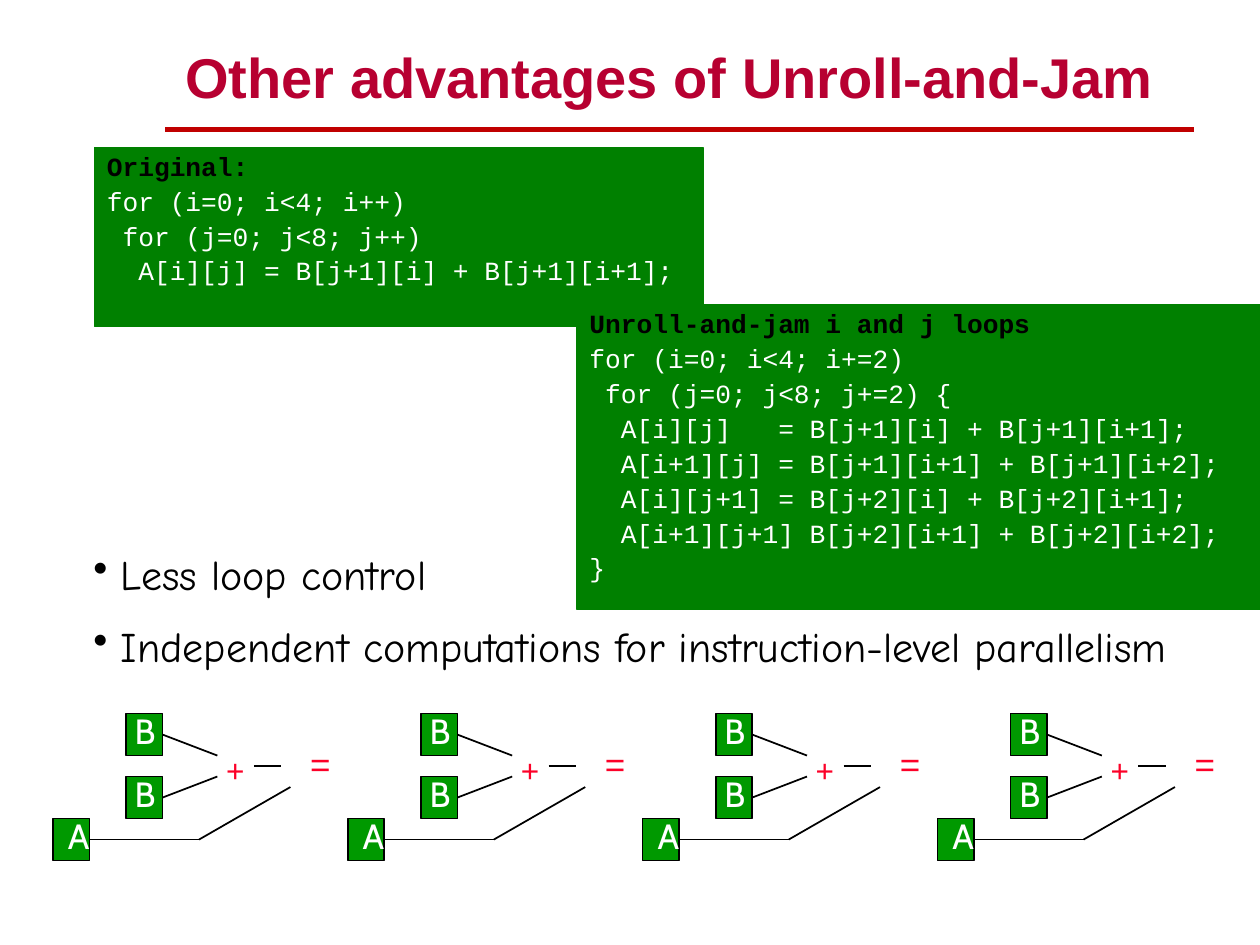
from dataclasses import dataclass

from lxml import etree
from pptx import Presentation, util as u
from pptx.dml.color import RGBColor
from pptx.enum import shapes as kinds, text as t
from pptx.oxml.ns import qn

WIDTH, HEIGHT = 10, 7.5
COL, ROW = 0.29, 1 / 12
TREE_LEFT, TREE_TOP, TREE_PITCH, TREE_COUNT = 0.42, 5.58, 2.34, 4
BLACK, WHITE, RED = "000000", "FFFFFF", "FC0128"
CODE_GREEN, NODE_GREEN = "008000", "009900"


@dataclass(frozen=True)
class Box:
    left: float
    top: float
    width: float
    height: float

    def inches(self) -> list:
        return [u.Inches(v) for v in (self.left, self.top, self.width, self.height)]


@dataclass(frozen=True)
class Style:
    font: str
    size: float
    color: str
    bold: bool = False


@dataclass(frozen=True)
class Listing:
    box: Box
    heading: str
    code: str


@dataclass(frozen=True)
class Symbol:
    col: float
    row: float
    width: float
    height: float
    word: str
    style: Style


@dataclass(frozen=True)
class Edge:
    col1: float
    row1: float
    col2: float
    row2: float


LISTINGS = [
    Listing(Box(0.75, 1.17, 4.83, 1.42), "Original:", """\
for (i=0; i<4; i++)
 for (j=0; j<8; j++)
  A[i][j] = B[j+1][i] + B[j+1][i+1];"""),
    Listing(Box(4.58, 2.42, 5.42, 2.42), "Unroll-and-jam i and j loops", """\
for (i=0; i<4; i+=2)
 for (j=0; j<8; j+=2) {
  A[i][j]   = B[j+1][i] + B[j+1][i+1];
  A[i+1][j] = B[j+1][i+1] + B[j+1][i+2];
  A[i][j+1] = B[j+2][i] + B[j+2][i+1];
  A[i+1][j+1] B[j+2][i+1] + B[j+2][i+2];
}"""),
]
ADVANTAGES = ["Less loop control",
              "Independent computations for instruction-level parallelism"]
OPERAND = Style("Cabin", 20, WHITE)
NODES = [(2, 1), (2, 7), (0, 11)]
EDGES = [Edge(3, 3, 4.5, 5), Edge(3, 9, 4.5, 7), Edge(1, 13, 4, 13),
         Edge(4, 13, 6.5, 8), Edge(5.5, 6, 6.25, 6)]
SYMBOLS = [
    Symbol(4.4, 4, 0.34, 0.4, "+", Style("Arial", 18, RED)),
    Symbol(1.9, 0, 0.38, 0.44, "B", OPERAND),
    Symbol(1.9, 6, 0.38, 0.44, "B", OPERAND),
    Symbol(0.07, 10, 0.38, 0.44, "A", OPERAND),
    Symbol(6.7, 3.2, 0.36, 0.44, "=", Style("Arial", 20, RED)),
]


def rgb(color: str) -> RGBColor:
    return RGBColor.from_string(color)


def add_run(paragraph, words: str, style: Style) -> None:
    run = paragraph.add_run()
    run.text = words
    run.font.name = style.font
    run.font.size = u.Pt(style.size)
    run.font.bold = style.bold
    run.font.color.rgb = rgb(style.color)


def set_frame(frame, wrap: bool, fit, anchor=t.MSO_ANCHOR.TOP,
              side: float = 0.1, edge: float = 0.05) -> None:
    frame.word_wrap = wrap
    frame.auto_size = fit
    frame.vertical_anchor = anchor
    frame.margin_left = frame.margin_right = u.Inches(side)
    frame.margin_top = frame.margin_bottom = u.Inches(edge)


def next_paragraph(frame, number: int, indent: float, spacing: float, before: float):
    paragraph = frame.add_paragraph() if number else frame.paragraphs[0]
    paragraph.alignment = t.PP_ALIGN.LEFT
    paragraph.line_spacing = spacing
    paragraph.space_before = u.Pt(before if number else 0)
    props = paragraph._p.get_or_add_pPr()
    props.set("marL", str(u.Inches(indent)))
    props.set("indent", str(u.Inches(-indent)))
    return paragraph


def add_block(parent, box: Box, fill: str, line: str, weight: float):
    block = parent.add_shape(kinds.MSO_SHAPE.RECTANGLE, *box.inches())
    block.shadow.inherit = False
    block.fill.solid()
    block.fill.fore_color.rgb = rgb(fill)
    block.line.color.rgb = rgb(line)
    block.line.width = u.Pt(weight)
    return block


def add_line(parent, start: tuple, end: tuple, color: str, weight: float) -> None:
    line = parent.add_connector(kinds.MSO_CONNECTOR.STRAIGHT,
                                *(u.Inches(v) for v in start + end))
    line.line.color.rgb = rgb(color)
    line.line.width = u.Pt(weight)
    etree.SubElement(line._element.spPr, qn("a:effectLst"))


def add_title(slide) -> None:
    title = slide.shapes.title
    title.left, title.top, title.width, title.height = Box(1.37, 0.25, 8, 0.67).inches()
    set_frame(title.text_frame, True, t.MSO_AUTO_SIZE.NONE, t.MSO_ANCHOR.BOTTOM)
    heading = title.text_frame.paragraphs[0]
    heading.alignment = t.PP_ALIGN.LEFT
    add_run(heading, "Other advantages of Unroll-and-Jam",
            Style("Arial", 32, "B70031", True))


def add_advantages(slide) -> None:
    frame = slide.shapes.add_textbox(*Box(0.67, 4.42, 8.75, 0.93).inches()).text_frame
    set_frame(frame, True, t.MSO_AUTO_SIZE.SHAPE_TO_FIT_TEXT, side=0.07, edge=0.03)
    for number, advantage in enumerate(ADVANTAGES):
        paragraph = next_paragraph(frame, number, 0.22, 0.75, 19.5)
        bullet = etree.SubElement(paragraph._p.get_or_add_pPr(), qn("a:buChar"))
        bullet.set("char", "•")
        add_run(paragraph, advantage, Style("Comic Neue", 24, BLACK))


def add_listing(slide, listing: Listing) -> None:
    panel = add_block(slide.shapes, listing.box, CODE_GREEN, CODE_GREEN, 0.75)
    set_frame(panel.text_frame, True, t.MSO_AUTO_SIZE.NONE)
    for number, words in enumerate([listing.heading, *listing.code.splitlines()]):
        paragraph = next_paragraph(panel.text_frame, number, 0.38, 0.9, 3.7)
        color = WHITE if number else BLACK
        add_run(paragraph, words, Style("Courier New", 15, color, number == 0))


def add_tree(slide, left: float) -> None:
    def place(col: float, row: float) -> tuple:
        return left + col * COL, TREE_TOP + row * ROW

    tree = slide.shapes.add_group_shape().shapes
    for node in NODES:
        add_block(tree, Box(*place(*node), COL, 4 * ROW), NODE_GREEN, BLACK, 1)
    for edge in EDGES:
        add_line(tree, place(edge.col1, edge.row1), place(edge.col2, edge.row2), BLACK, 1)
    for symbol in SYMBOLS:
        box = Box(*place(symbol.col, symbol.row), symbol.width, symbol.height)
        frame = tree.add_textbox(*box.inches()).text_frame
        set_frame(frame, False, t.MSO_AUTO_SIZE.SHAPE_TO_FIT_TEXT)
        add_run(frame.paragraphs[0], symbol.word, symbol.style)


def main() -> None:
    deck = Presentation()
    deck.slide_width, deck.slide_height = u.Inches(WIDTH), u.Inches(HEIGHT)
    slide = deck.slides.add_slide(deck.slide_layouts[5])
    add_line(slide.shapes, (1.31, 1.03), (9.48, 1.03), "C00000", 3)
    add_title(slide)
    add_advantages(slide)
    for listing in LISTINGS:
        add_listing(slide, listing)
    for number in range(TREE_COUNT):
        add_tree(slide, TREE_LEFT + number * TREE_PITCH)
    deck.save("out.pptx")


if __name__ == "__main__":
    main()
